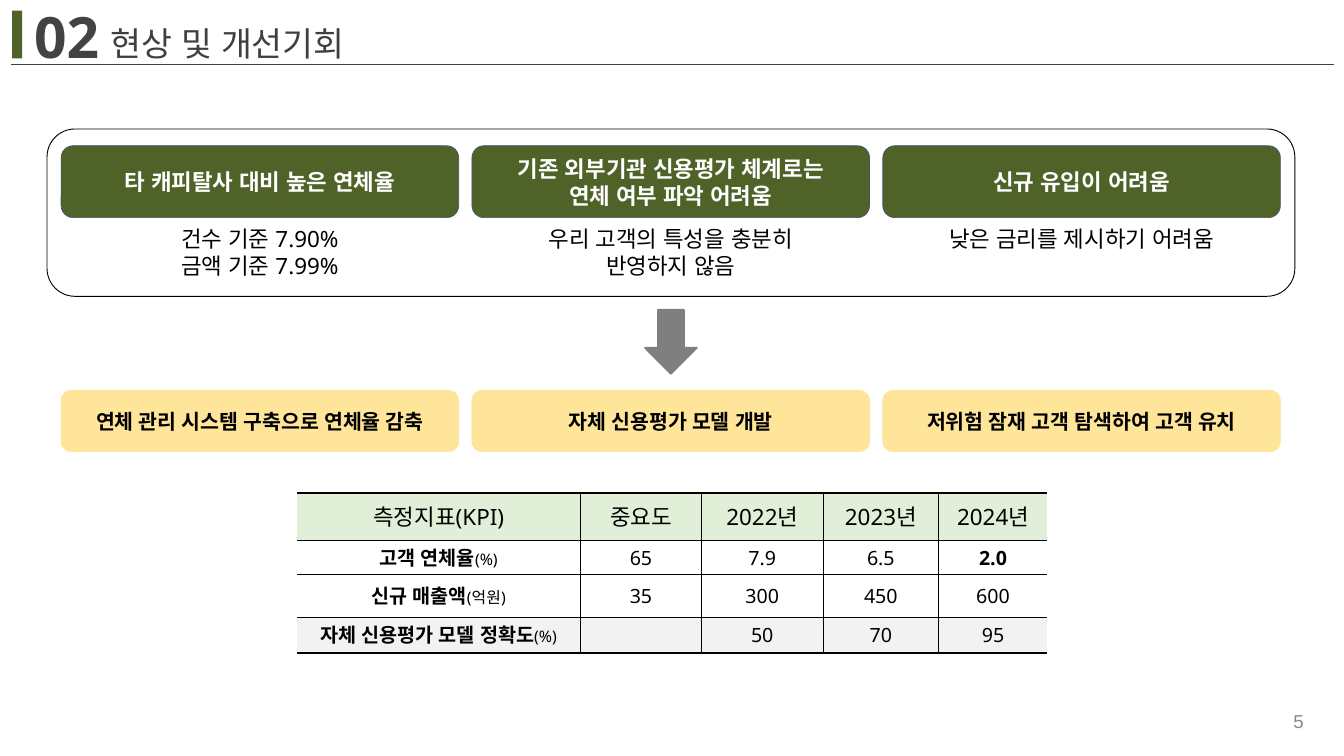
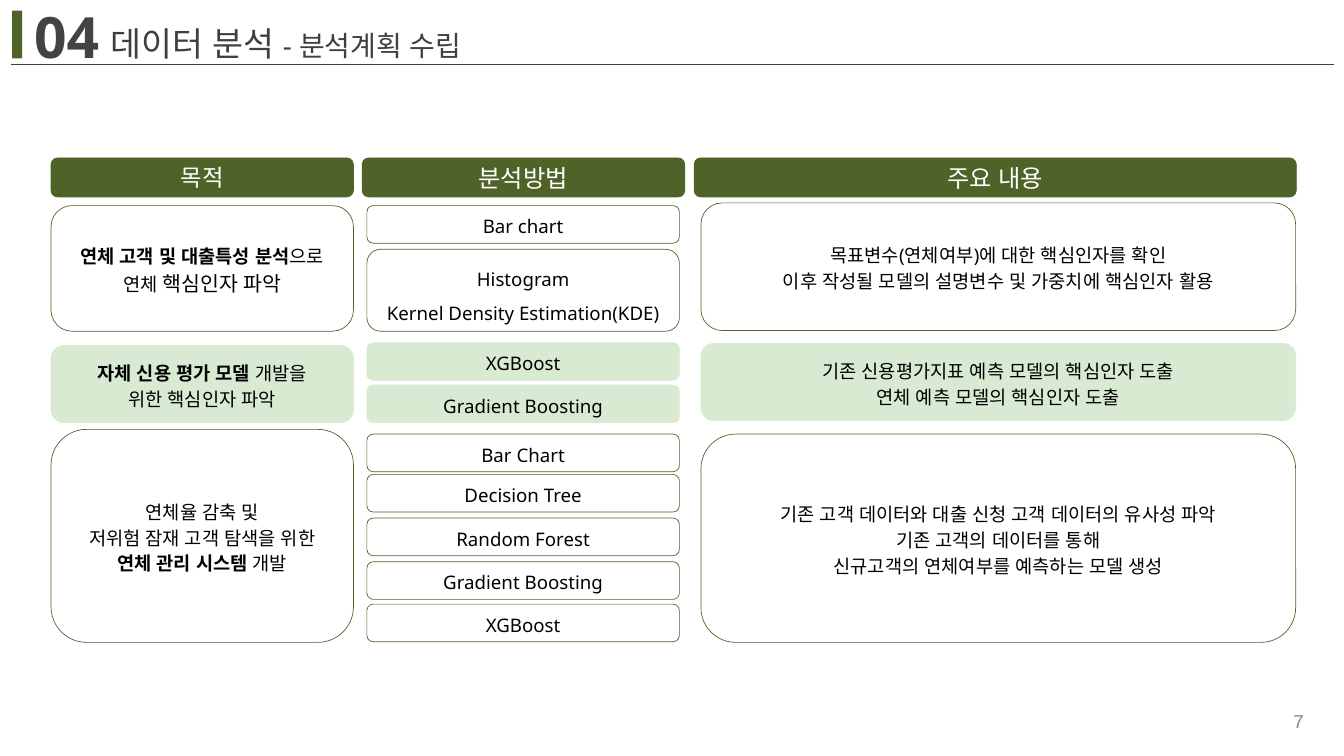
from dataclasses import dataclass
from typing import Optional, Sequence, Union

from lxml import etree
from pptx import Presentation
from pptx.dml.color import RGBColor
from pptx.enum.shapes import MSO_CONNECTOR, MSO_SHAPE
from pptx.enum.text import MSO_ANCHOR, MSO_AUTO_SIZE, PP_ALIGN
from pptx.oxml.ns import qn
from pptx.util import Pt

RECTANGLE = MSO_SHAPE.RECTANGLE
ROUNDED = MSO_SHAPE.ROUNDED_RECTANGLE
DOWN_ARROW = MSO_SHAPE.DOWN_ARROW
STRAIGHT = MSO_CONNECTOR.STRAIGHT
TOP, MIDDLE = MSO_ANCHOR.TOP, MSO_ANCHOR.MIDDLE
LEFT, CENTER, RIGHT = PP_ALIGN.LEFT, PP_ALIGN.CENTER, PP_ALIGN.RIGHT
NO_AUTOFIT = MSO_AUTO_SIZE.NONE

COLORS = {
    "green": "4F6228",
    "light_green": "D9EAD3",
    "table_head": "E1EFD8",
    "table_total": "F2F2F2",
    "yellow": "FEE599",
    "slate": "44546A",
    "arrow": "7F7F7F",
    "title": "3F3F3F",
    "number": "434343",
    "footer": "888888",
    "black": "000000",
    "white": "FFFFFF",
}
FONT = "Noto Sans"


@dataclass(frozen=True)
class Run:
    text: str
    size: Optional[float] = None
    bold: Optional[bool] = None


Line = Union[str, Sequence[Union[str, Run]]]
Text = Union[str, Sequence[Line]]


@dataclass(frozen=True)
class Box:
    left: float
    top: float
    width: float
    height: float

    def lengths(self) -> list:
        return [Pt(v) for v in (self.left, self.top, self.width, self.height)]


@dataclass(frozen=True)
class Issue:
    heading: Text
    note: Text
    measure: str


@dataclass(frozen=True)
class Column:
    heading: str
    size: float
    head_left: float
    head_width: float
    left: float
    width: float


@dataclass(frozen=True)
class Entry:
    column: int
    top: float
    height: float
    text: Text
    shaded: bool = False
    spacing: float = 1.15


ISSUES = [
    Issue("타 캐피탈사 대비 높은 연체율",
          ["건수 기준 7.90%", "금액 기준 7.99%"],
          "연체 관리 시스템 구축으로 연체율 감축"),
    Issue(["기존 외부기관 신용평가 체계로는", "연체 여부 파악 어려움"],
          "우리 고객의 특성을 충분히 반영하지 않음",
          "자체 신용평가 모델 개발"),
    Issue("신규 유입이 어려움", "낮은 금리를 제시하기 어려움",
          "저위험 잠재 고객 탐색하여 고객 유치"),
]
CARD_LEFT, CARD_STEP, CARD_WIDTH = 65.5, 440.2, 426
NOTE_INDENT = 34

KPI_HEADER = ["측정지표(KPI)", "중요도", "2022년", "2023년", "2024년"]
KPI_ROWS = [
    ("고객 연체율", "(%)", ["65", "7.9", "6.5", "2.0"]),
    ("신규 매출액", "(억원)", ["35", "300", "450", "600"]),
    ("자체 신용평가 모델 정확도", "(%)", ["", "50", "70", "95"]),
]
KPI_TARGET = "2.0"
KPI_WIDTHS = [303.8, 129.6, 130.3, 123.8, 116.6]
KPI_HEIGHTS = [50.4, 36.7, 45.4, 38.9]
KPI_BOX = Box(318.2, 528.5, sum(KPI_WIDTHS), sum(KPI_HEIGHTS))

PLAN_COLUMNS = [
    Column("목적", 25, 54.7, 324, 54.7, 324),
    Column("분석방법", 26, 388.1, 345.6, 393.1, 334.8),
    Column("주요 내용", 26, 743.8, 645.1, 751, 637.2),
]
METHOD_HEIGHT = 40.3
METHODS = [
    ("Bar chart", 220.3, False),
    ("XGBoost", 367.2, True),
    ("Gradient Boosting", 412.6, True),
    ("Bar Chart", 465.1, False),
    ("Decision Tree", 508.3, False),
    ("Random Forest", 555.1, False),
    ("Gradient Boosting", 601.9, False),
    ("XGBoost", 647.3, False),
]
PLAN_ENTRIES = [
    Entry(0, 220.3, 134.6, [
        [Run("연체 고객 및 대출특성 분석", bold=True), "으로"],
        ["연체 ", Run("핵심인자 파악", size=22)]]),
    Entry(0, 370.1, 82.8, [
        [Run("자체 신용 평가 모델", bold=True), " 개발을"],
        "위한 핵심인자 파악"], shaded=True),
    Entry(0, 460.1, 228.2, [
        "연체율 감축 및",
        "저위험 잠재 고객 탐색을 위한",
        [Run("연체 관리 시스템 ", bold=True), "개발"]]),
    Entry(1, 267.1, 87.8,
          ["Histogram", "Kernel Density Estimation(KDE)"], spacing=1.5),
    Entry(2, 217.4, 136.8, [
        "목표변수(연체여부)에 대한 핵심인자를 확인",
        "이후 작성될 모델의 설명변수 및 가중치에 핵심인자 활용"]),
    Entry(2, 367.9, 82.8, [
        "기존 신용평가지표 예측 모델의 핵심인자 도출",
        "연체 예측 모델의 핵심인자 도출"], shaded=True),
    Entry(2, 465.1, 223.2, [
        "기존 고객 데이터와 대출 신청 고객 데이터의 유사성 파악",
        "기존 고객의 데이터를 통해",
        "신규고객의 연체여부를 예측하는 모델 생성"]),
] + [Entry(1, top, METHOD_HEIGHT, name, shaded) for name, top, shaded in METHODS]


def rgb(name: str) -> RGBColor:
    return RGBColor.from_string(COLORS[name])


def write_text(frame, text: Text, *, size: float, color: str = "black",
               bold: bool = False, font: str = FONT, align=CENTER,
               anchor=MIDDLE, spacing: Optional[float] = None,
               inset: float = 3.6) -> None:
    frame.word_wrap = True
    frame.vertical_anchor = anchor
    frame.margin_left = frame.margin_right = Pt(7.2)
    frame.margin_top = frame.margin_bottom = Pt(inset)
    lines = [text] if isinstance(text, str) else text
    for index, line in enumerate(lines):
        paragraph = frame.add_paragraph() if index else frame.paragraphs[0]
        paragraph.alignment = align
        if spacing:
            paragraph.line_spacing = spacing
        for part in [line] if isinstance(line, str) else line:
            part = Run(part) if isinstance(part, str) else part
            run = paragraph.add_run()
            run.text = part.text
            run.font.size = Pt(part.size or size)
            run.font.bold = bold if part.bold is None else part.bold
            run.font.color.rgb = rgb(color)
            run.font.name = font
            east_asian = etree.SubElement(run._r.get_or_add_rPr(), qn("a:ea"))
            east_asian.set("typeface", font)


def add_text(slide, box: Box, text: Text, **text_format) -> None:
    shape = slide.shapes.add_textbox(*box.lengths())
    write_text(shape.text_frame, text, **text_format)


def add_block(slide, kind, box: Box, fill: Optional[str] = None,
              line: Optional[str] = None, line_width: float = 0.75,
              text: Text = "", **text_format) -> None:
    shape = slide.shapes.add_shape(kind, *box.lengths())
    shape.shadow.inherit = False
    if fill:
        shape.fill.solid()
        shape.fill.fore_color.rgb = rgb(fill)
    else:
        shape.fill.background()
    if line:
        shape.line.color.rgb = rgb(line)
        shape.line.width = Pt(line_width)
    else:
        shape.line.fill.background()
    if text:
        write_text(shape.text_frame, text, inset=7.2, **text_format)


def add_base(presentation, number: str, title: Text, page: str):
    slide = presentation.slides.add_slide(presentation.slide_layouts[5])
    add_block(slide, RECTANGLE, Box(13, 11.5, 10.8, 51.1), "green")
    rule = slide.shapes.add_connector(STRAIGHT, Pt(11.5), Pt(69.1), Pt(1429.2), Pt(69.1))
    rule.line.color.rgb = rgb("title")
    rule.line.width = Pt(0.75)
    etree.SubElement(rule._element.spPr, qn("a:effectLst"))
    add_text(slide, Box(29.5, -2.2, 221.8, 81.4), number, size=61,
             color="number", bold=True, align=LEFT, anchor=TOP)
    heading = slide.shapes.title
    heading.left, heading.top, heading.width, heading.height = Box(
        111.6, 20.9, 535, 94.3).lengths()
    heading.text_frame.auto_size = NO_AUTOFIT
    write_text(heading.text_frame, title, size=36, color="title", align=LEFT, anchor=TOP)
    add_text(slide, Box(1080, 751, 324, 43.2), page, size=20,
             color="footer", font="Arial", align=RIGHT)
    return slide


def set_borders(cell, widths: dict) -> None:
    properties = cell._tc.get_or_add_tcPr()
    for side, width in widths.items():
        border = etree.SubElement(properties, qn(f"a:ln{side}"))
        border.set("w", str(Pt(width)))
        if width:
            fill = etree.SubElement(border, qn("a:solidFill"))
            etree.SubElement(fill, qn("a:srgbClr")).set("val", COLORS["black"])
        else:
            etree.SubElement(border, qn("a:noFill"))


def add_kpi_table(slide) -> None:
    rows = [KPI_HEADER] + [
        [[[Run(name, bold=True), Run(unit, size=17)]], *values]
        for name, unit, values in KPI_ROWS]
    last_row, last_column = len(rows) - 1, len(KPI_HEADER) - 1
    table = slide.shapes.add_table(len(rows), len(KPI_HEADER), *KPI_BOX.lengths()).table
    table.first_row = table.horz_banding = False
    for column, width in zip(table.columns, KPI_WIDTHS):
        column.width = Pt(width)
    for row, height in zip(table.rows, KPI_HEIGHTS):
        row.height = Pt(height)
    fills = {0: "table_head", last_row: "table_total"}
    for row_index, values in enumerate(rows):
        for column_index, value in enumerate(values):
            cell = table.cell(row_index, column_index)
            set_borders(cell, {
                "L": 0.8 if column_index else 0,
                "R": 0.8 if column_index < last_column else 0,
                "T": 0.8 if row_index else 2.25,
                "B": 0.8 if row_index < last_row else 2.25,
            })
            if row_index in fills:
                cell.fill.solid()
                cell.fill.fore_color.rgb = rgb(fills[row_index])
            else:
                cell.fill.background()
            cell.vertical_anchor = MIDDLE
            if value:
                write_text(cell.text_frame, value, size=21 if row_index else 24,
                           bold=value == KPI_TARGET)
            cell.margin_left = cell.margin_right = Pt(7.9)


def build_status_slide(presentation) -> None:
    slide = add_base(presentation, "02", "현상 및 개선기회", "5")
    add_block(slide, ROUNDED, Box(50.4, 138.2, 1337, 179.3), line="black", line_width=1)
    for index, issue in enumerate(ISSUES):
        left = CARD_LEFT + index * CARD_STEP
        add_block(slide, ROUNDED, Box(left, 156.2, CARD_WIDTH, 77), "green", "slate",
                  text=issue.heading, size=24, color="white", bold=True)
        add_text(slide, Box(left + NOTE_INDENT, 237.6, CARD_WIDTH - 2 * NOTE_INDENT, 65.5),
                 issue.note, size=24, anchor=TOP)
        add_block(slide, ROUNDED, Box(left, 418.3, CARD_WIDTH, 65.5), "yellow", "yellow",
                  text=issue.measure, size=22, bold=True)
    add_block(slide, DOWN_ARROW, Box(691.2, 332, 55.4, 68.4), "arrow", "arrow", 2)
    add_kpi_table(slide)


def build_plan_slide(presentation) -> None:
    title = [["데이터 분석 ", Run("- 분석계획 수립", size=30)]]
    slide = add_base(presentation, "04", title, "7")
    for column in PLAN_COLUMNS:
        add_block(slide, ROUNDED, Box(column.head_left, 169.2, column.head_width, 41.8),
                  "green", "green", text=column.heading, size=column.size, color="white")
    for entry in PLAN_ENTRIES:
        column = PLAN_COLUMNS[entry.column]
        fill, line = ("light_green",) * 2 if entry.shaded else ("white", "green")
        add_block(slide, ROUNDED, Box(column.left, entry.top, column.width, entry.height),
                  fill, line, text=entry.text, size=20, spacing=entry.spacing)


def main() -> None:
    presentation = Presentation()
    presentation.slide_width, presentation.slide_height = Pt(1440), Pt(810)
    build_status_slide(presentation)
    build_plan_slide(presentation)
    presentation.save("out.pptx")


if __name__ == "__main__":
    main()
